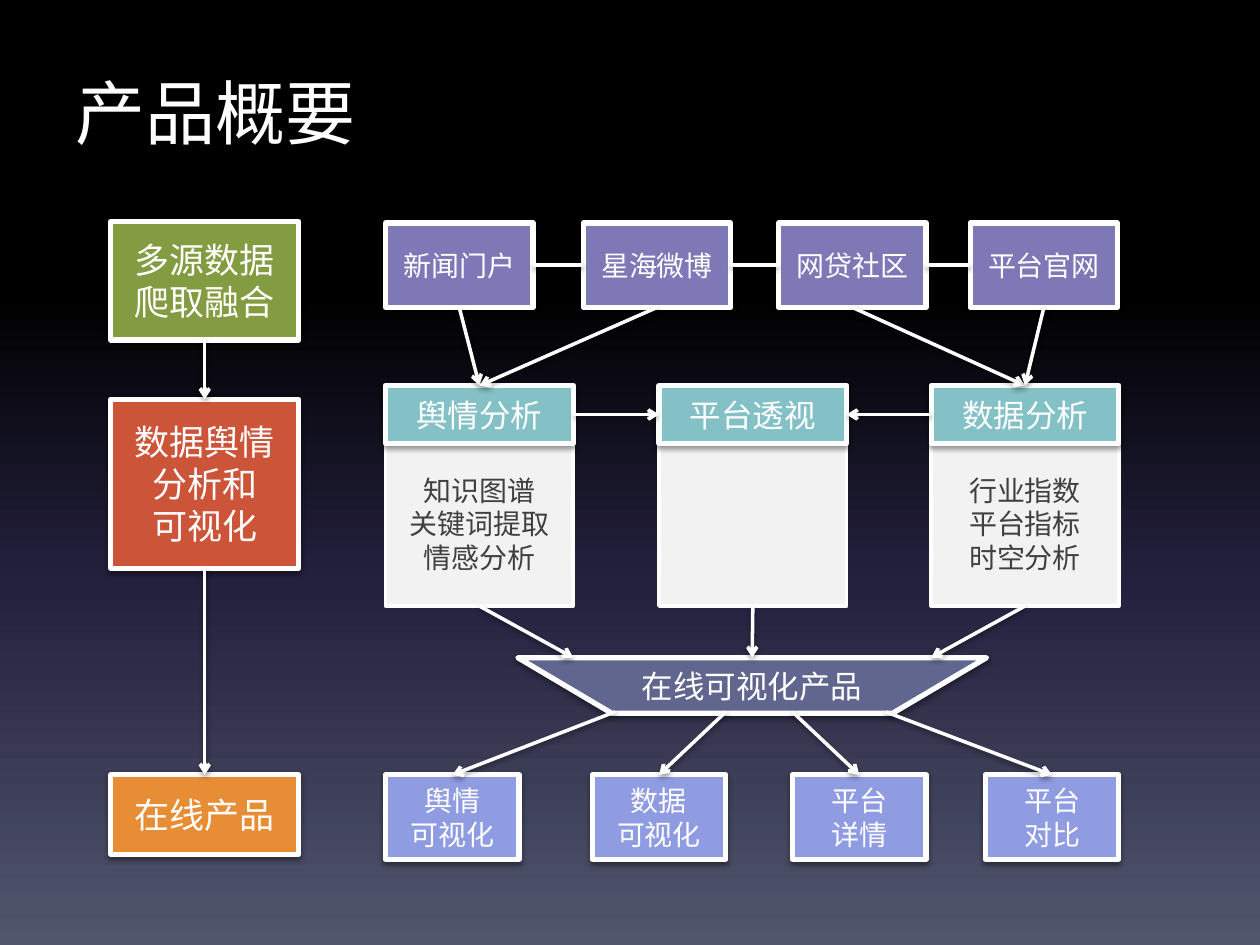
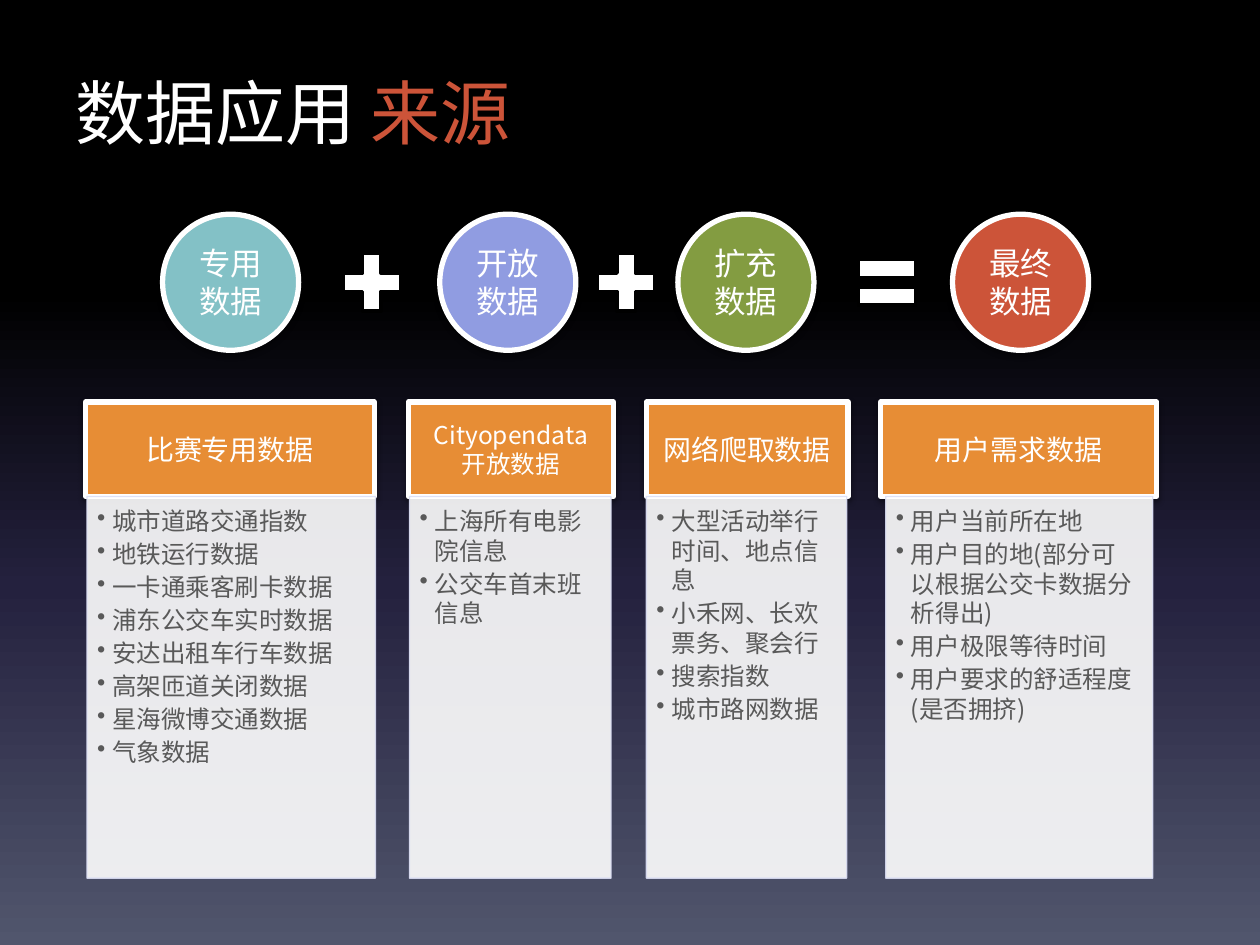
from lxml import etree
from pptx import Presentation
from pptx.dml.color import RGBColor
from pptx.enum.shapes import MSO_CONNECTOR, MSO_SHAPE as Geo
from pptx.enum.text import MSO_ANCHOR as Anchor, PP_ALIGN as Align
from pptx.oxml.ns import qn
from pptx.util import Inches, Pt

COLORS = {
    "white": "FFFFFF", "black": "000000", "panel": "F2F2F2", "edge": "DBDEF4",
    "dark": "404040", "grey": "595959", "green": "839C41", "red": "CC5439",
    "orange": "E78D35", "teal": "83C1C6", "blue": "909CE1", "purple": "7E78B7",
    "slate": "60668D", "night": "24213E", "dusk": "51566D",
}
BACKDROP = [(0, "black"), (31, "black"), (62, "night"), (100, "dusk")]
FONT, TITLE_FONT, LATIN_FONT = "Noto Sans CJK SC", "Noto Sans CJK JP", "Calibri"
TOP, LEFT, BOTTOM, RIGHT = range(4)  # connection sites


def rgb(name):
    return RGBColor.from_string(COLORS[name])


def sub(parent, tag, **attrs):
    return etree.SubElement(parent, qn(tag), {k: str(v) for k, v in attrs.items()})


class Deck:
    """Holds the presentation, its style and the current slide."""

    def __init__(self):
        self.prs = Presentation()
        self.prs.slide_width, self.prs.slide_height = Inches(10), Inches(7.5)
        self.s = None

    def slide(self, *title):
        self.s = self.prs.slides.add_slide(self.prs.slide_layouts[6])
        fill = self.s.background.fill
        fill.gradient()
        fill.gradient_angle = 270
        stops = next(self.s.element.iter(qn("a:gsLst")))
        for stop in list(stops):
            stops.remove(stop)
        for pos, color in BACKDROP:
            sub(sub(stops, "a:gs", pos=pos * 1000), "a:srgbClr", val=COLORS[color])
        self.title(title)

    def title(self, parts):
        tf = self.s.shapes.add_textbox(*map(Inches, (0.5, 0.5, 9, 1.25))).text_frame
        tf.word_wrap = True
        p = tf.paragraphs[0]
        for text, color in parts:
            r = p.add_run()
            r.text = text
            r.font.color.rgb = rgb(color)
        self.style(p, 40, "white", TITLE_FONT)

    def style(self, p, size, color, font=FONT):
        p.line_spacing = Pt(size * 1.2)
        p.font.size, p.font.name = Pt(size), font
        p.font.color.rgb = rgb(color)
        props = p._p.pPr.find(qn("a:defRPr"))
        sub(props, "a:ea", typeface=FONT if font == LATIN_FONT else font)

    def shadow(self, sp):
        props = sp._element.spPr
        effects = props.find(qn("a:effectLst"))
        if effects is None:
            effects = sub(props, "a:effectLst")
        outer = sub(effects, "a:outerShdw", blurRad=40000, dist=20000,
                    dir=5400000, rotWithShape=0)
        sub(sub(outer, "a:srgbClr", val=COLORS["black"]), "a:alpha", val=38000)

    def box(self, at, fill, text="", size=16, color="white", geo=Geo.RECTANGLE,
            line="white", width=3, shadow=True, font=FONT, inset=0.1):
        sp = self.s.shapes.add_shape(geo, *map(Inches, at))
        sp.shadow.inherit = False
        sp.fill.solid()
        sp.fill.fore_color.rgb = rgb(fill)
        sp.line.color.rgb = rgb(line)
        sp.line.width = Pt(width)
        if shadow:
            self.shadow(sp)
        if text:
            tf = sp.text_frame
            tf.word_wrap, tf.vertical_anchor = True, Anchor.MIDDLE
            tf.margin_left = tf.margin_right = Inches(inset)
            tf.margin_top = tf.margin_bottom = Inches(min(inset, 0.05))
            tf.text = text
            for p in tf.paragraphs:
                p.alignment = Align.CENTER
                self.style(p, size, color, font)
        return sp

    def bullets(self, at, items):
        sp = self.box(at, "white", "\n".join(items), 14, "grey",
                      line="edge", width=0.75, shadow=False)
        for clr in sp._element.spPr.iter(qn("a:srgbClr")):
            sub(clr, "a:alpha", val=90000)
        tf = sp.text_frame
        tf.vertical_anchor = Anchor.TOP
        tf.margin_left = tf.margin_top = Inches(0.08)
        tf.margin_right, tf.margin_bottom = Inches(0.11), Inches(0.12)
        for p in tf.paragraphs:
            p.alignment, p.space_after = Align.LEFT, Pt(2)
            props = p._p.pPr
            props.set("marL", str(Inches(0.12)))
            props.set("indent", str(-Inches(0.12)))
            bullet = sub(props, "a:buChar", char="•")
            props.find(qn("a:defRPr")).addprevious(bullet)

    def link(self, start, end, arrow=True):
        """Each end is a (shape, site) pair or an (x, y) point in inches."""
        c = self.s.shapes.add_connector(MSO_CONNECTOR.STRAIGHT, 0, 0, 0, 0)
        if hasattr(start[0], "shape_id"):
            c.begin_connect(*start)
        else:
            c.begin_x, c.begin_y = map(Inches, start)
        if hasattr(end[0], "shape_id"):
            c.end_connect(*end)
        else:
            c.end_x, c.end_y = map(Inches, end)
        c.line.color.rgb = rgb("white")
        c.line.width = Pt(2)
        if arrow:
            sub(c.line._get_or_add_ln(), "a:tailEnd", type="arrow")
        self.shadow(c)


def overview(d):
    d.slide(("产品概要", "white"))

    # Analysis panels and their heads
    columns = [("舆情分析", "知识图谱\n关键词提取\n情感分析"),
               ("平台透视", ""),
               ("数据分析", "行业指数\n平台指标\n时空分析")]
    xs = [3.06, 5.23, 7.39]
    panels = [d.box((x, 3.5, 1.49, 1.31), "panel", text, color="dark", width=2,
                    shadow=False) for x, (_, text) in zip(xs, columns)]
    heads = [d.box((x, 3.06, 1.49, 0.46), "teal", head, 18, font=LATIN_FONT)
             for x, (head, _) in zip(xs, columns)]

    # Stages on the left
    stages = [d.box((0.88, y, 1.49, h), fill, text, 20) for y, h, fill, text in [
        (1.76, 0.94, "green", "多源数据爬取融合"),
        (3.17, 1.34, "red", "数据舆情分析和\n可视化"),
        (6.15, 0.63, "orange", "在线产品")]]

    # Sources, product funnel and outputs
    sources = [d.box((x, 1.77, 1.17, 0.67), "purple", text) for x, text in [
        (3.06, "新闻门户"), (4.63, "星海微博"), (6.18, "网贷社区"), (7.7, "平台官网")]]
    funnel = d.box((4.11, 5.22, 3.72, 0.44), "slate", "在线可视化产品", 18,
                   geo=Geo.FLOWCHART_MANUAL_OPERATION, font=LATIN_FONT)
    outputs = [d.box((x, 6.15, 1.06, 0.67), "blue", text) for x, text in [
        (3.06, "舆情\n可视化"), (4.7, "数据\n可视化"),
        (6.29, "平台\n详情"), (7.82, "平台\n对比")]]

    # Links between the parts
    for upper, lower in zip(stages, stages[1:]):
        d.link((upper, BOTTOM), (lower, TOP))
    for left, right in zip(sources, sources[1:]):
        d.link((left, RIGHT), (right, LEFT), arrow=False)
    for source, head in zip(sources, [heads[0], heads[0], heads[2], heads[2]]):
        d.link((source, BOTTOM), (head, TOP))
    d.link((heads[0], RIGHT), (heads[1], LEFT))
    d.link((heads[2], LEFT), (heads[1], RIGHT))
    for panel, end in zip(panels, [(4.55, 5.22), (funnel, TOP), (7.39, 5.22)]):
        d.link((panel, BOTTOM), end)
    for x, output in zip([4.88, 5.76, 6.29, 7.03], outputs):
        d.link((x, 5.65), (output, TOP))


def data_sources(d):
    d.slide(("数据应用 ", "white"), ("来源", "red"))

    # Columns: head (left, width), body (left, width), head text, size, items
    columns = [
        (0.68, 2.29, 0.69, 2.29, "比赛专用数据", 16,
         ["城市道路交通指数", "地铁运行数据", "一卡通乘客刷卡数据", "浦东公交车实时数据",
          "安达出租车行车数据", "高架匝道关闭数据", "星海微博交通数据", "气象数据"]),
        (3.24, 1.63, 3.25, 1.6, "Cityopendata\n开放数据", 14,
         ["上海所有电影院信息", "公交车首末班信息"]),
        (5.13, 1.6, 5.13, 1.59, "网络爬取数据", 16,
         ["大型活动举行时间、地点信息", "小禾网、长欢票务、聚会行", "搜索指数", "城市路网数据"]),
        (6.99, 2.19, 7.03, 2.12, "用户需求数据", 16,
         ["用户当前所在地", "用户目的地(部分可以根据公交卡数据分析得出)",
          "用户极限等待时间", "用户要求的舒适程度(是否拥挤)"]),
    ]
    for head_x, head_w, body_x, body_w, head, size, items in columns:
        d.box((head_x, 3.19, head_w, 0.75), "orange", head, size)
        d.bullets((body_x, 3.94, body_w, 3.03), items)

    # Equation of data sets
    for x, fill, text in [(1.29, "teal", "专用\n数据"), (3.49, "blue", "开放\n数据"),
                          (5.38, "green", "扩充\n数据"), (7.56, "red", "最终\n数据")]:
        d.box((x, 1.7, 1.08, 1.08), fill, text, 18, geo=Geo.OVAL, inset=0.03)
    for x, geo in [(2.64, Geo.MATH_PLUS), (4.66, Geo.MATH_PLUS), (6.73, Geo.MATH_EQUAL)]:
        d.box((x, 1.93, 0.62, 0.62), "white", geo=geo, line="black", width=2,
              shadow=False)


def main():
    d = Deck()
    overview(d)
    data_sources(d)
    d.prs.save("out.pptx")


if __name__ == "__main__":
    main()
